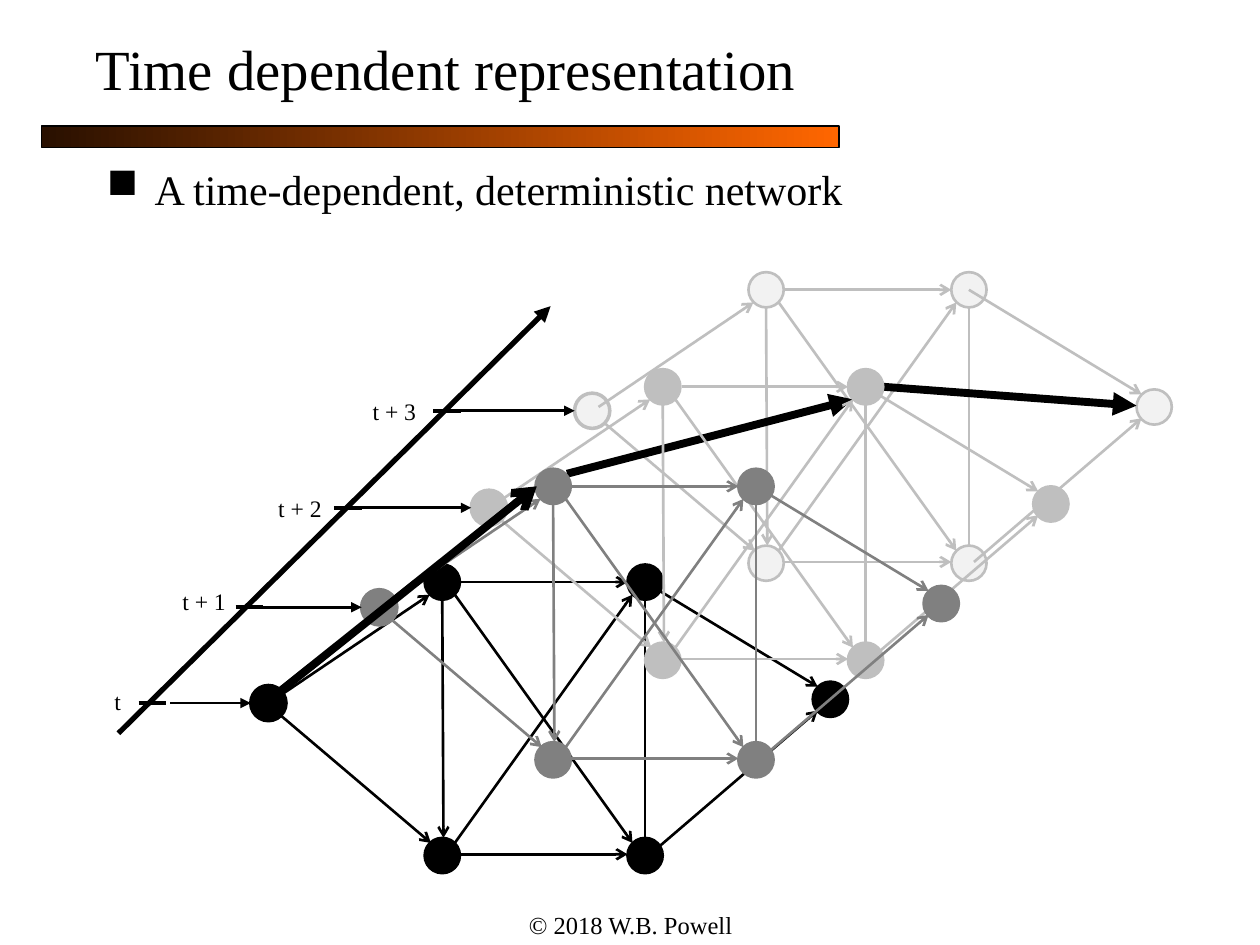
from dataclasses import dataclass

from lxml import etree
from pptx import Presentation
from pptx.dml.color import RGBColor
from pptx.enum.shapes import MSO_CONNECTOR, MSO_SHAPE
from pptx.enum.text import MSO_ANCHOR, PP_ALIGN
from pptx.oxml.ns import qn
from pptx.util import Inches, Pt

STRAIGHT = MSO_CONNECTOR.STRAIGHT
OVAL, RECTANGLE = MSO_SHAPE.OVAL, MSO_SHAPE.RECTANGLE
TOP, MIDDLE = MSO_ANCHOR.TOP, MSO_ANCHOR.MIDDLE
LEFT, CENTER = PP_ALIGN.LEFT, PP_ALIGN.CENTER

# The slide is a grid of square cells, given as (column, row).
COLUMNS, ROWS = 1000, 750
CELL = Inches(10) // COLUMNS


@dataclass(frozen=True)
class Theme:
    font: str = "Times New Roman"
    ink: str = "000000"
    bar_start: str = "291000"
    bar_end: str = "FF6600"
    dark: str = "808080"
    light: str = "BFBFBF"
    pale: str = "F2F2F2"
    title_size: float = 32.4
    body_size: float = 24
    footer_size: float = 14
    label_size: float = 13.5
    edge_width: float = 1.5
    start_width: float = 2
    tick_width: float = 2.25
    axis_width: float = 3
    path_width: float = 4.5
    bar_line_width: float = 0.75


THEME = Theme()
NODE_SIZE = 28

# Network geometry, relative to the top left of its start node.
NODES = [(446, -3), (138, -96), (138, 121), (299, -96), (299, 121)]
VERTICAL_EDGES = [((152, -68), (153, 121)), ((313, -94), (313, 137))]
EDGES = [
    ((19, 11), (142, -72)), ((24, 24), (143, 125)),
    ((167, -82), (299, -82)), ((167, 134), (299, 134)),
    ((313, -82), (450, 1)), ((317, 134), (450, 20)),
    ((162, -72), (303, 125)), ((162, 125), (303, -72)),
]

# Start node of the network at each time step.
ORIGINS = [(199, 544), (287, 468), (374, 389), (456, 312)]
# Label, its box, tick start column, pointer start column.
TIME_STEPS = [
    ("t", (81, 540, 38, 33), 110, 135),
    ("t + 1", (135, 461, 57, 33), 187, 203),
    ("t + 2", (211, 387, 58, 33), 265, 286),
    ("t + 3", (286, 310, 60, 33), 344, 365),
]
TICK_LENGTH = 22


def cells(values):
    return [Inches(0) + value * CELL for value in values]


def apply_format(target, values):
    for name, value in values.items():
        setattr(target, name, value)


def add_line(slide, start, end, color, width, head=None):
    line = slide.shapes.add_connector(STRAIGHT, *cells(start + end))
    line.line.color.rgb = RGBColor.from_string(color)
    line.line.width = Pt(width)
    properties = line._element.spPr
    if head:
        etree.SubElement(line.line._get_or_add_ln(), qn("a:tailEnd"), type=head)
    etree.SubElement(properties, qn("a:effectLst"))


def add_node(slide, corner, fill, outline, width):
    node = slide.shapes.add_shape(OVAL, *cells(corner + (NODE_SIZE, NODE_SIZE)))
    node.shadow.inherit = False
    node.fill.solid()
    node.fill.fore_color.rgb = RGBColor.from_string(fill)
    node.line.color.rgb = RGBColor.from_string(outline)
    node.line.width = Pt(width)


def add_text(slide, box, text, size, anchor=TOP, align=LEFT, wrap=True, bullet=None):
    frame = slide.shapes.add_textbox(*cells(box)).text_frame
    apply_format(frame, {"word_wrap": wrap, "vertical_anchor": anchor})
    paragraph = frame.paragraphs[0]
    apply_format(paragraph, {"text": text, "alignment": align})
    if bullet:
        properties = paragraph._p.get_or_add_pPr()
        indent = Inches(0.38)
        properties.set("marL", str(indent))
        properties.set("indent", str(-indent))
        etree.SubElement(properties, qn("a:buChar"), char=bullet)
    font = paragraph.runs[0].font
    apply_format(font, {"name": THEME.font, "size": Pt(size)})
    font.color.rgb = RGBColor.from_string(THEME.ink)


def add_header(slide, box):
    left, top, width, height = box
    bar = slide.shapes.add_shape(RECTANGLE, *cells((left, top + 68, 633, 17)))
    bar.shadow.inherit = False
    bar.fill.gradient()
    bar.fill.gradient_angle = 0
    for stop, color in zip(bar.fill.gradient_stops, (THEME.bar_start, THEME.bar_end)):
        stop.color.rgb = RGBColor.from_string(color)
    bar.line.color.rgb = RGBColor.from_string(THEME.ink)
    bar.line.width = Pt(THEME.bar_line_width)
    add_text(slide, (left + 33, top, width - 33, height),
             "Time dependent representation", THEME.title_size, anchor=MIDDLE)


def add_network(slide, origin, fill, outline):
    """Draw the nodes and edges of one time step from its start node."""
    def place(point):
        return origin[0] + point[0], origin[1] + point[1]

    def connect(edges):
        for start, end in edges:
            add_line(slide, place(start), place(end), outline, THEME.edge_width, "arrow")

    add_node(slide, origin, fill, outline, THEME.start_width)
    connect(VERTICAL_EDGES)
    for node in NODES:
        add_node(slide, place(node), fill, outline, THEME.edge_width)
    connect(EDGES)


def add_path_step(slide, start, end, head):
    add_line(slide, start, end, THEME.ink, THEME.path_width, head)


def add_layers(slide):
    """Stack the networks and the chosen path through them, back to front."""
    now, next_step, second, third = ORIGINS
    add_network(slide, third, THEME.pale, THEME.light)
    add_network(slide, now, THEME.ink, THEME.ink)
    add_path_step(slide, (450, 376), (677, 317), "triangle")
    add_path_step(slide, (701, 307), (902, 322), "triangle")
    add_network(slide, second, THEME.light, THEME.light)
    add_network(slide, next_step, THEME.dark, THEME.dark)
    add_path_step(slide, (223, 548), (426, 386), "arrow")


def add_time_axis(slide, box):
    left, top, width, height = box
    add_line(slide, (left, top + height), (left + width, top),
             THEME.ink, THEME.axis_width, "triangle")
    for (node_left, node_top), step in zip(ORIGINS, TIME_STEPS):
        label, label_box, tick, pointer = step
        row = node_top + NODE_SIZE // 2
        add_text(slide, label_box, label, THEME.label_size, wrap=False)
        add_line(slide, (tick, row), (tick + TICK_LENGTH, row),
                 THEME.ink, THEME.tick_width)
        add_line(slide, (pointer, row), (node_left, row),
                 THEME.ink, THEME.edge_width, "triangle")


def main():
    presentation = Presentation()
    presentation.slide_width = COLUMNS * CELL
    presentation.slide_height = ROWS * CELL
    slide = presentation.slides.add_slide(presentation.slide_layouts[6])
    add_header(slide, (33, 32, 895, 43))
    add_layers(slide)
    add_time_axis(slide, (94, 243, 343, 339))
    add_text(slide, (342, 717, 317, 50), "© 2018 W.B. Powell",
             THEME.footer_size, align=CENTER)
    add_text(slide, (75, 125, 850, 542), "A time-dependent, deterministic network",
             THEME.body_size, bullet="■")
    presentation.save("out.pptx")


if __name__ == "__main__":
    main()
